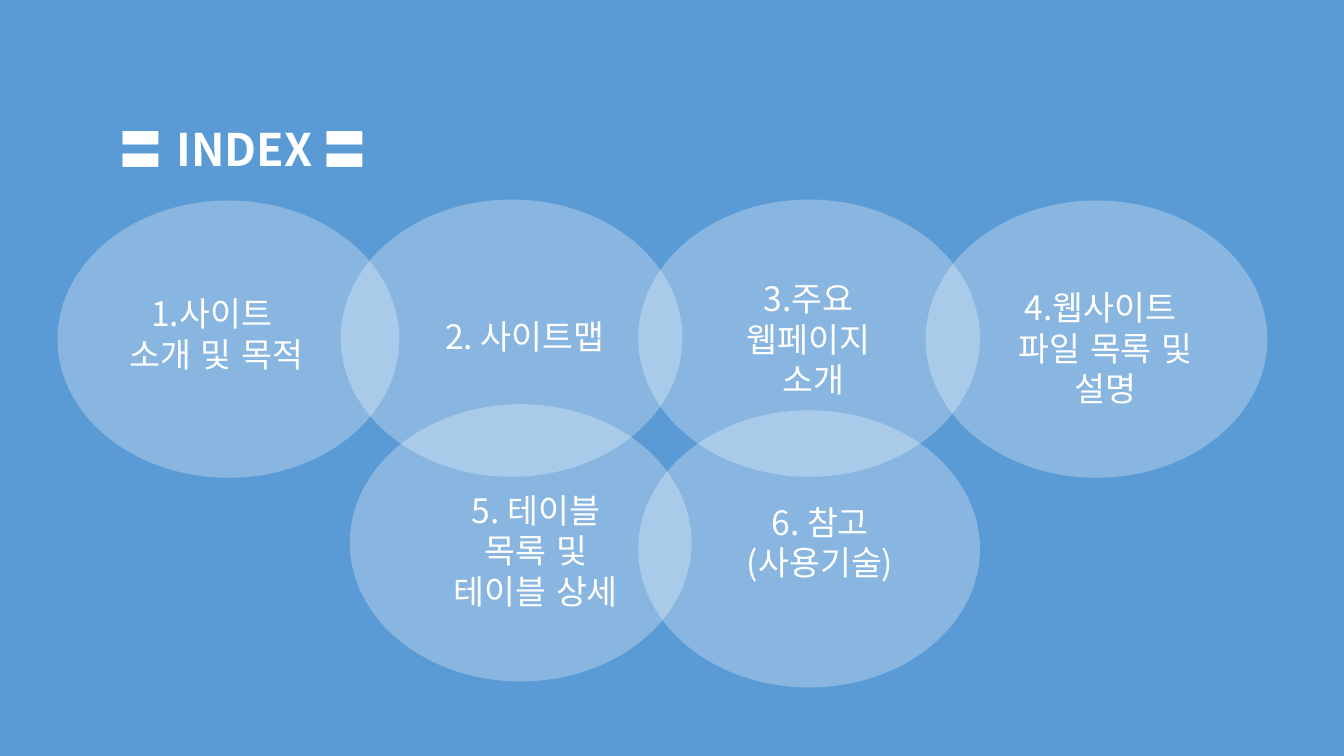
from lxml.etree import SubElement
from pptx import Presentation
from pptx.dml.color import RGBColor
from pptx.enum.lang import MSO_LANGUAGE_ID
from pptx.enum.shapes import MSO_SHAPE
from pptx.enum.text import MSO_ANCHOR, MSO_AUTO_SIZE, PP_ALIGN
from pptx.oxml.ns import qn
from pptx.util import Inches, Pt

W, H = Inches(13.33), Inches(7.5)
FONT = "Noto Sans CJK KR"
COLORS = {"sky": "5B9BD5", "white": "FFFFFF"}
CIRCLE_SIZE = (25.43, 36.67)
OPACITY = 28

# circle left, top; label left, top, width; rows; lines (in percent of the slide)
TOPICS = [
    ((4.28, 26.53), (8.1, 38.13, 15.98), 2, ["1.사이트 ", "소개 및 목적"]),
    ((25.35, 26.4), (31.36, 41.07, 15.38), 1, ["2. 사이트맵"]),
    ((47.49, 26.4), (51.99, 36.13, 17.03), 3, ["3.주요 ", "웹페이지 ", "소개"]),
    ((68.87, 26.53), (73.74, 37.33, 17.03), 3, ["4.웹사이트 ", "파일 목록 및 설명"]),
    ((26.03, 53.47), (31.36, 64.13, 17.03), 3, ["5. 테이블", " 목록 및 ", "테이블 상세"]),
    ((47.49, 54.27), (52.51, 65.73, 17.03), 2, ["6. 참고", "(사용기술)"]),
]


def rgb(name):
    return RGBColor.from_string(COLORS[name])


def box(left, top, width, height):
    """Turn percentages of the slide into lengths."""
    return [round(v * side / 100) for v, side in zip((left, top, width, height), (W, H, W, H))]


def set_all(obj, values):
    for name, value in values.items():
        setattr(obj, name, value)


def write(tf, lines, size, align, bold=False):
    set_all(tf, {"word_wrap": True, "vertical_anchor": MSO_ANCHOR.TOP,
                 "auto_size": MSO_AUTO_SIZE.NONE})
    for i, line in enumerate(lines):
        p = tf.add_paragraph() if i else tf.paragraphs[0]
        set_all(p, {"alignment": align, "line_spacing": 1.0, "space_before": Pt(0)})
        r = p.add_run()
        r.text = line
        set_all(r.font, {"size": Pt(size), "bold": bold, "name": FONT,
                         "language_id": MSO_LANGUAGE_ID.KOREAN})
        r.font.color.rgb = rgb("white")
        SubElement(r.font._element, qn("a:ea")).set("typeface", FONT)


def add_title(slide, text):
    sp = slide.shapes.title
    set_all(sp, dict(zip(("left", "top", "width", "height"), box(8.1, 15.47, 20.71, 8.4))))
    write(sp.text_frame, [text], 32, PP_ALIGN.LEFT, bold=True)


def add_circle(slide, corner):
    sp = slide.shapes.add_shape(MSO_SHAPE.FLOWCHART_CONNECTOR, *box(*corner, *CIRCLE_SIZE))
    sp.shadow.inherit = False
    sp.fill.solid()
    sp.fill.fore_color.rgb = rgb("white")
    color = sp._element.spPr.find(qn("a:solidFill"))[0]
    SubElement(color, qn("a:alpha")).set("val", str(OPACITY * 1000))
    sp.line.fill.background()


def add_label(slide, place, rows, lines):
    sp = slide.shapes.add_textbox(*box(*place, 1.33 + 5.38 * rows))
    write(sp.text_frame, lines, 24, PP_ALIGN.CENTER)


def main():
    prs = Presentation()
    set_all(prs, {"slide_width": W, "slide_height": H})
    slide = prs.slides.add_slide(prs.slide_layouts[5])
    slide.background.fill.solid()
    slide.background.fill.fore_color.rgb = rgb("sky")
    add_title(slide, "〓 INDEX 〓")
    for corner, place, rows, lines in TOPICS:
        add_circle(slide, corner)
        add_label(slide, place, rows, lines)
    prs.save("out.pptx")


if __name__ == "__main__":
    main()
